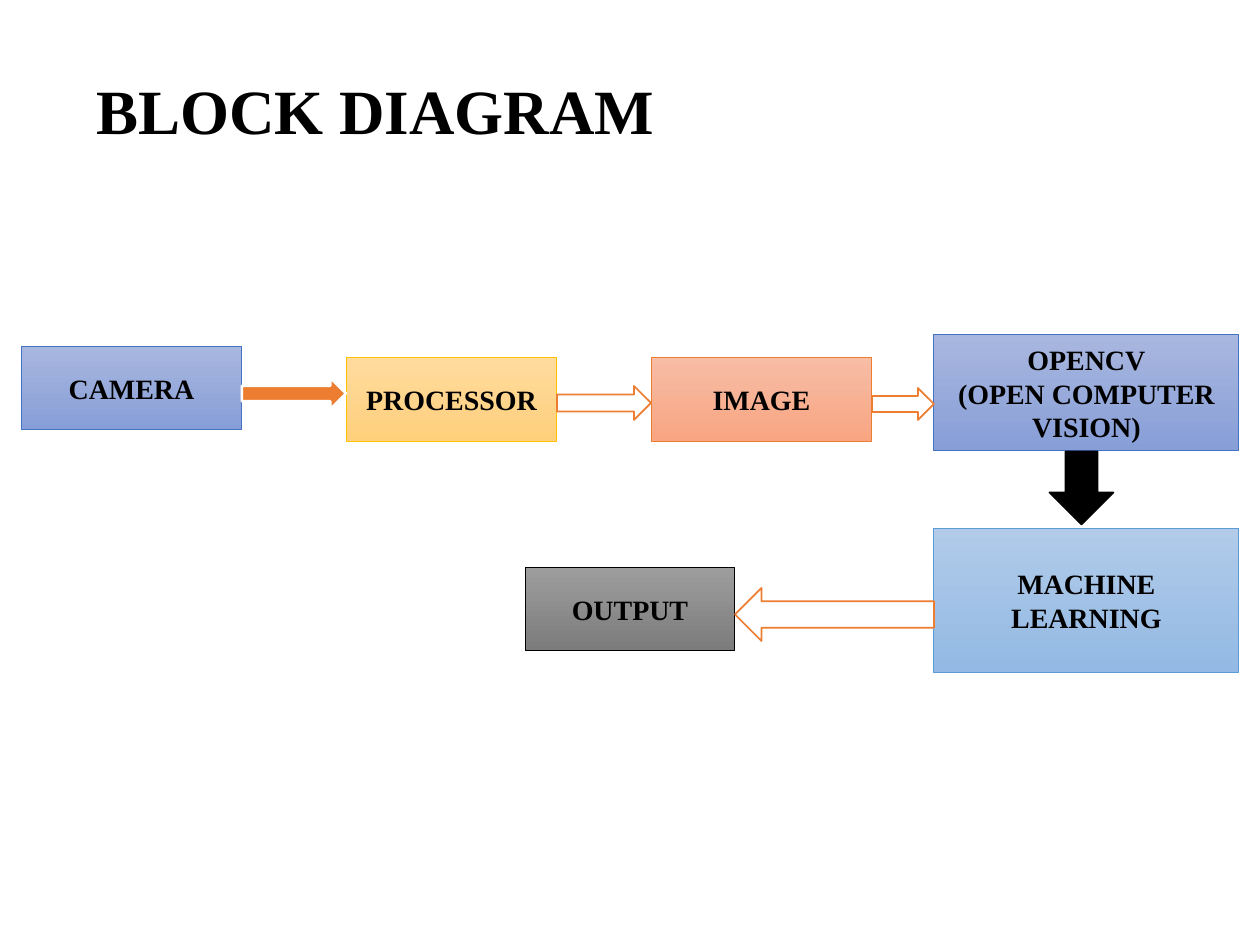
from pptx import Presentation
from pptx.dml.color import RGBColor
from pptx.enum.shapes import MSO_SHAPE
from pptx.enum.text import MSO_ANCHOR, PP_ALIGN
from pptx.util import Emu, Pt

RECT, ARROW = MSO_SHAPE.RECTANGLE, MSO_SHAPE.RIGHT_ARROW
MIDDLE, CENTER = MSO_ANCHOR.MIDDLE, PP_ALIGN.CENTER
PX = 914400 // 126
FONT = "Times New Roman"
BLACK, WHITE, ORANGE = "000000", "FFFFFF", "ED7D31"

TITLE = "BLOCK DIAGRAM"
TITLE_BOX = (84, 32, 875, 234)
TITLE_BOTTOM_INSET = 75

BLUE = ("A8B7DF", "889ED7", "4472C4")
YELLOW = ("FFDB9E", "FFD07C", "FFC000")
SALMON = ("F7BDA5", "F8A582", ORANGE)
SKY = ("B1CBE9", "93B9E4", "5B9BD5")
GRAY = ("9D9D9D", "7C7C7C", BLACK)

# lines of text, (left, top, width, height), (gradient top, bottom, outline)
BLOCKS = [
    (["CAMERA"], (21, 346, 221, 84), BLUE),
    (["PROCESSOR"], (346, 357, 211, 84), YELLOW),
    (["IMAGE"], (651, 357, 221, 84), SALMON),
    (["OPENCV", "(OPEN COMPUTER VISION)"], (934, 335, 305, 116), BLUE),
    (["MACHINE", "LEARNING"], (934, 528, 305, 144), SKY),
    (["OUTPUT"], (525, 567, 210, 84), GRAY),
]

# (left, top, width, height) before rotation, rotation, fill, outline, line width
ARROWS = [
    ((242, 378, 104, 31), 0, ORANGE, WHITE, 1.5),
    ((557, 386, 94, 34), 0, WHITE, ORANGE, 1),
    ((872, 388, 62, 32), 0, WHITE, ORANGE, 1),
    ((1045, 456, 73, 64), 90, BLACK, BLACK, 1),
    ((735, 588, 199, 53), 180, WHITE, ORANGE, 1),
]


def px(n):
    return Emu(n * PX)


def rgb(color):
    return RGBColor.from_string(color)


def write(tf, lines, size, align=None):
    tf.word_wrap = True
    tf.vertical_anchor = MIDDLE
    for i, line in enumerate(lines):
        p = tf.paragraphs[0] if i == 0 else tf.add_paragraph()
        p.text = line
        p.alignment = align
        p.font.name, p.font.size, p.font.bold = FONT, Pt(size), True
        p.font.color.rgb = rgb(BLACK)


def add_outlined(slide, kind, box, color, width):
    s = slide.shapes.add_shape(kind, *map(px, box))
    s.shadow.inherit = False
    s.line.color.rgb = rgb(color)
    s.line.width = Pt(width)
    return s


def add_block(slide, lines, box, colors):
    top, bottom, outline = colors
    s = add_outlined(slide, RECT, box, outline, 0.5)
    s.fill.gradient()
    s.fill.gradient_angle = 270
    for stop, color in zip(s.fill.gradient_stops, (top, bottom)):
        stop.color.rgb = rgb(color)
    write(s.text_frame, lines, 16, CENTER)


def add_arrow(slide, box, rotation, fill, outline, width):
    s = add_outlined(slide, ARROW, box, outline, width)
    s.rotation = rotation
    s.fill.solid()
    s.fill.fore_color.rgb = rgb(fill)


def main():
    prs = Presentation()
    prs.slide_width, prs.slide_height = px(1260), px(945)
    slide = prs.slides.add_slide(prs.slide_layouts[6])

    tf = slide.shapes.add_textbox(*map(px, TITLE_BOX)).text_frame
    write(tf, [TITLE], 36)
    tf.paragraphs[0].line_spacing = 0.9
    tf.margin_bottom = px(TITLE_BOTTOM_INSET)

    for block in BLOCKS:
        add_block(slide, *block)
    for arrow in ARROWS:
        add_arrow(slide, *arrow)
    prs.save("out.pptx")


if __name__ == "__main__":
    main()
